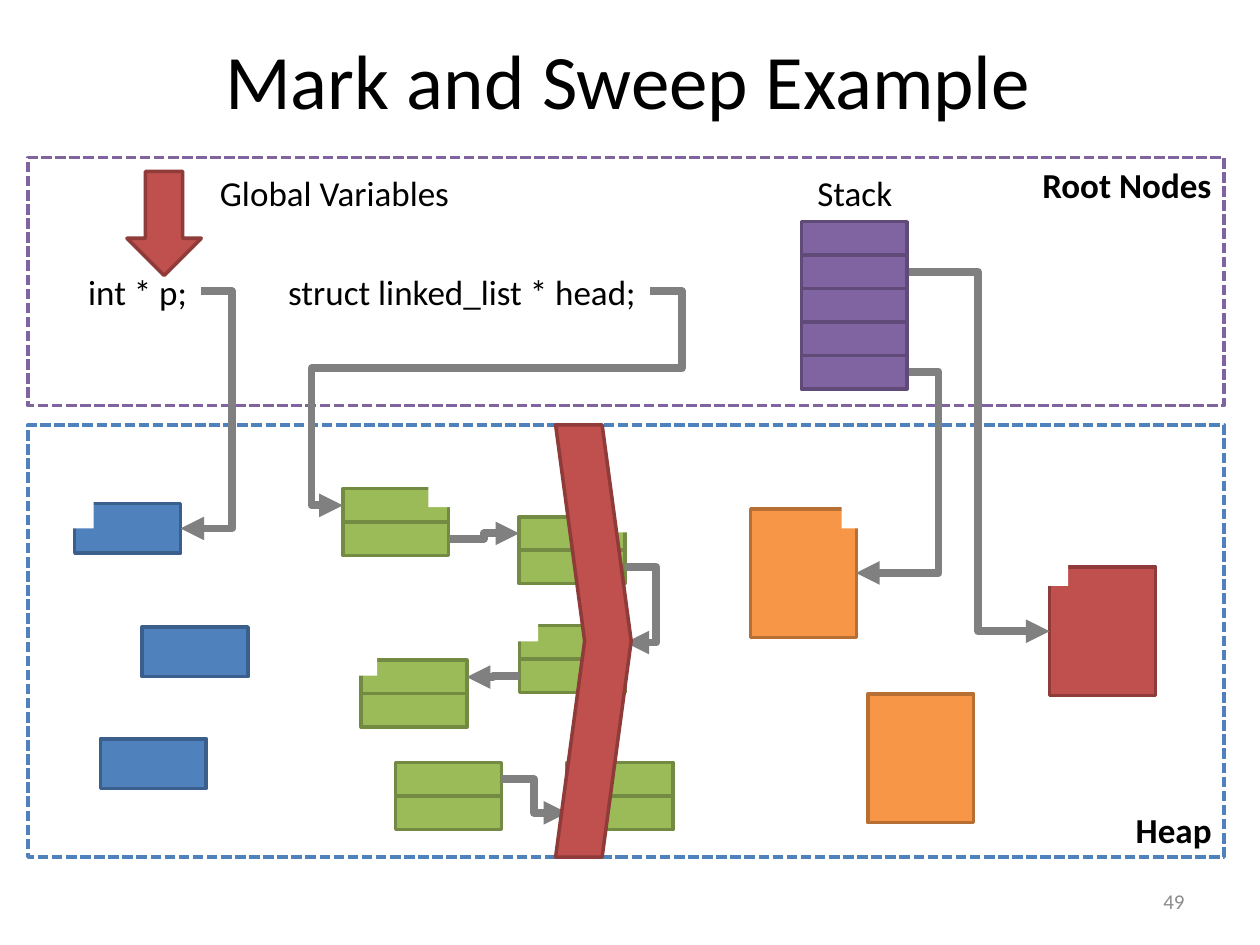
"""Build the "Mark and Sweep Example" slide: root nodes above, heap objects below."""
from lxml import etree
from pptx import Presentation
from pptx.dml.color import RGBColor
from pptx.enum import dml, shapes, text
from pptx.oxml import ns
from pptx.util import Pt

BLACK = RGBColor(0x00, 0x00, 0x00)
WHITE = RGBColor(0xFF, 0xFF, 0xFF)
GRAY = RGBColor(0x80, 0x80, 0x80)
LIGHT_GRAY = RGBColor(0x8C, 0x8C, 0x8C)
BLUE, BLUE_EDGE = RGBColor(0x4F, 0x81, 0xBD), RGBColor(0x3A, 0x5F, 0x8C)
GREEN, GREEN_EDGE = RGBColor(0x9B, 0xBB, 0x59), RGBColor(0x73, 0x8A, 0x42)
ORANGE, ORANGE_EDGE = RGBColor(0xF7, 0x96, 0x46), RGBColor(0xB7, 0x6F, 0x34)
RED, RED_EDGE = RGBColor(0xC0, 0x50, 0x4D), RGBColor(0x8E, 0x3B, 0x39)
PURPLE, PURPLE_EDGE = RGBColor(0x80, 0x64, 0xA2), RGBColor(0x5F, 0x4A, 0x78)
RECT = shapes.MSO_SHAPE.RECTANGLE
LEFT, CENTER, RIGHT = text.PP_ALIGN.LEFT, text.PP_ALIGN.CENTER, text.PP_ALIGN.RIGHT
TOP, MIDDLE, BOTTOM = text.MSO_ANCHOR.TOP, text.MSO_ANCHOR.MIDDLE, text.MSO_ANCHOR.BOTTOM
CELL_W, CELL_H = 60.5, 19.1


def write(tf, words, size=20, color=BLACK, bold=False, align=CENTER, anchor=TOP, wrap=True):
    tf.word_wrap = wrap
    tf.vertical_anchor = anchor
    p = tf.paragraphs[0]
    p.alignment = align
    r = p.add_run()
    r.text = words
    r.font.name, r.font.size, r.font.bold = "Calibri", Pt(size), bold
    r.font.color.rgb = color


def box(parent, x, y, w, h, fill=None, edge=None, kind=RECT):
    sp = parent.add_shape(kind, Pt(x), Pt(y), Pt(w), Pt(h))
    sp.shadow.inherit = False
    if fill is None:
        sp.fill.background()
    else:
        sp.fill.solid()
        sp.fill.fore_color.rgb = fill
    if edge is None:
        sp.line.fill.background()
    else:
        sp.line.color.rgb = edge
        sp.line.width = Pt(2)
    return sp


prs = Presentation()
prs.slide_width, prs.slide_height = Pt(720), Pt(540)
s = prs.slides.add_slide(prs.slide_layouts[5])

title = s.shapes.title
title.left, title.top, title.width, title.height = Pt(3.6), Pt(0), Pt(710.6), Pt(90)
write(title.text_frame, "Mark and Sweep Example", size=44, anchor=MIDDLE)

number = s.shapes.add_textbox(Pt(516), Pt(500.5), Pt(168), Pt(28.75))
write(number.text_frame, "49", size=12, color=LIGHT_GRAY, align=RIGHT, anchor=MIDDLE)

for name, y, h, edge, anchor in [
    ("Root Nodes", 90, 141.8, PURPLE, TOP),
    ("Heap", 242.8, 247, BLUE, BOTTOM),
]:
    area = box(s.shapes, 16, y, 683.5, h, edge=edge)
    area.line.dash_style = dml.MSO_LINE.SQUARE_DOT
    write(area.text_frame, name, bold=True, align=RIGHT, anchor=anchor)

for words, x, y, w in [
    ("Stack", 459.2, 94.5, 58.5),
    ("Global Variables", 117.7, 94.5, 147),
    ("int * p;", 42.7, 150.8, 72),
    ("struct linked_list * head;", 156.4, 150.8, 215.3),
]:
    label = s.shapes.add_textbox(Pt(x), Pt(y), Pt(w), Pt(31.5))
    write(label.text_frame, words, wrap=False)
    label.text_frame.auto_size = text.MSO_AUTO_SIZE.SHAPE_TO_FIT_TEXT

for x, y in [(42.7, 287.8), (81.3, 358.3), (57.4, 422.2)]:
    box(s.shapes, x, y, CELL_W, 28.4, BLUE, BLUE_EDGE)

for x, y in [(196, 279.2), (296.7, 295.3), (296.9, 357.5),
             (206.4, 377.3), (226, 435.8), (324.1, 435.8)]:
    node = s.shapes.add_group_shape().shapes
    for row in range(2):
        box(node, x, y + row * CELL_H, CELL_W, CELL_H, GREEN, GREEN_EDGE)

for x, y, fill, edge in [
    (429, 290.9, ORANGE, ORANGE_EDGE),
    (495.9, 396.7, ORANGE, ORANGE_EDGE),
    (599.8, 324, RED, RED_EDGE),
]:
    box(s.shapes, x, y, CELL_W, 73.4, fill, edge)

for x1, y1, x2, y2, *bends in [
    (518.4, 155.5, 599.8, 360.7, 559),
    (371.7, 166.5, 196, 288.8, 389.7, 210.5, 178),
    (256.4, 307.9, 296.7, 304.8, 276.5),
    (357.2, 324, 357.4, 367.2, 375.2),
    (296.9, 386.3, 266.8, 386.9, 281.9),
    (286.2, 445.4, 324.1, 464.5, 305.2),
    (114.7, 166.5, 103.2, 302, 132.7),
    (518.4, 212.4, 489.2, 327.4, 536.4),
]:
    cn = s.shapes.add_connector(shapes.MSO_CONNECTOR.ELBOW, Pt(x1), Pt(y1), Pt(x2), Pt(y2))
    cn.line.color.rgb = GRAY
    cn.line.width = Pt(4.5)
    props = cn.element.spPr
    geometry = props.find(ns.qn("a:prstGeom"))
    geometry.set("prst", f"bentConnector{len(bends) + 2}")
    guides = geometry.find(ns.qn("a:avLst"))
    for i, bend in enumerate(bends):
        start, end = (y1, y2) if i == 1 else (x1, x2)
        ratio = round((bend - start) / (end - start) * 100000)
        etree.SubElement(guides, ns.qn("a:gd"), name=f"adj{i + 1}" if len(bends) > 1 else "adj1",
                         fmla=f"val {ratio}")
    etree.SubElement(props.find(ns.qn("a:ln")), ns.qn("a:tailEnd"), type="triangle")
    etree.SubElement(props, ns.qn("a:effectLst"))

stack = s.shapes.add_group_shape().shapes
for row in range(5):
    box(stack, 457.9, 126.7 + row * CELL_H, CELL_W, CELL_H, PURPLE, PURPLE_EDGE)

for x, y in [(31.9, 280.4), (244.8, 268.2), (347.8, 282.6), (286, 345),
             (193.9, 364.5), (480.9, 280.4), (588.8, 313.2)]:
    box(s.shapes, x, y, 21.6, 21.6, WHITE)

box(s.shapes, 72.5, 97.9, 42.5, 59.5, RED, RED_EDGE, shapes.MSO_SHAPE.DOWN_ARROW)
sweep = box(s.shapes, 317.5, 242.8, 43.2, 247, RED, RED_EDGE, shapes.MSO_SHAPE.CHEVRON)
sweep.adjustments[0] = 0.384

prs.save("out.pptx")
